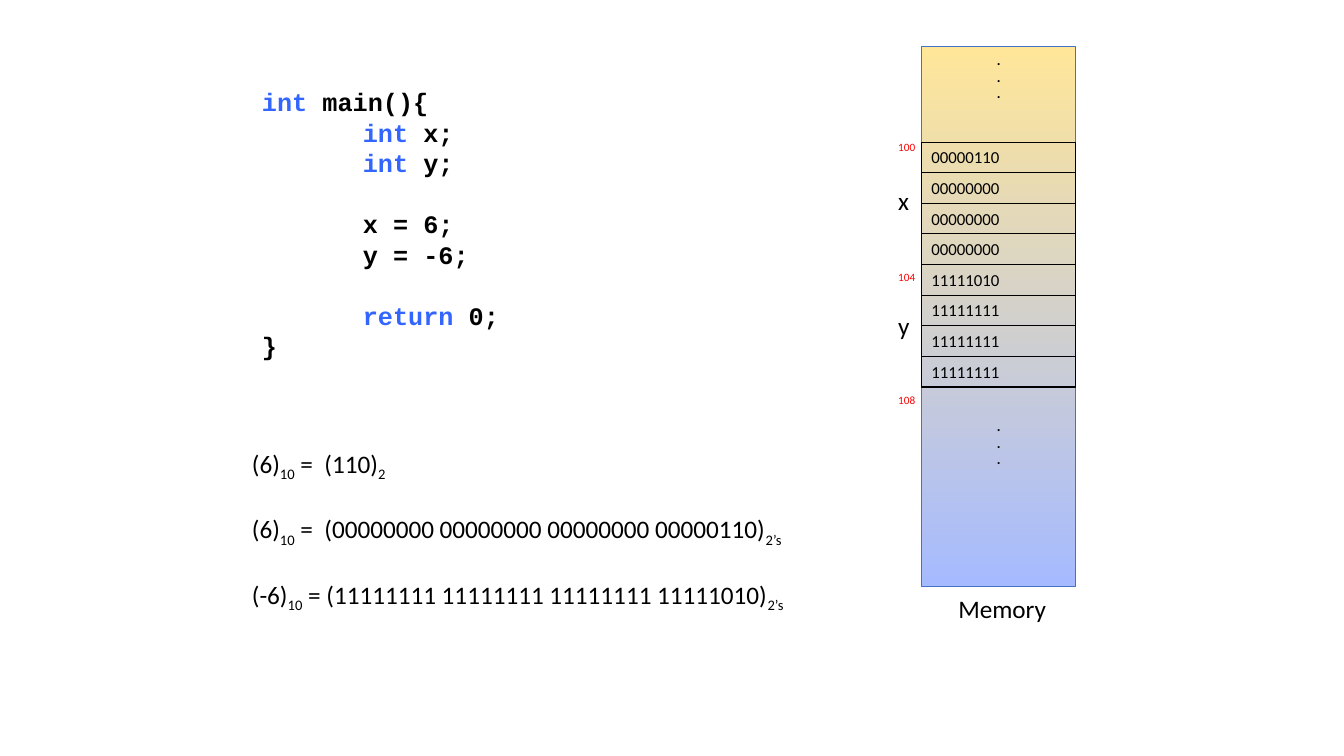
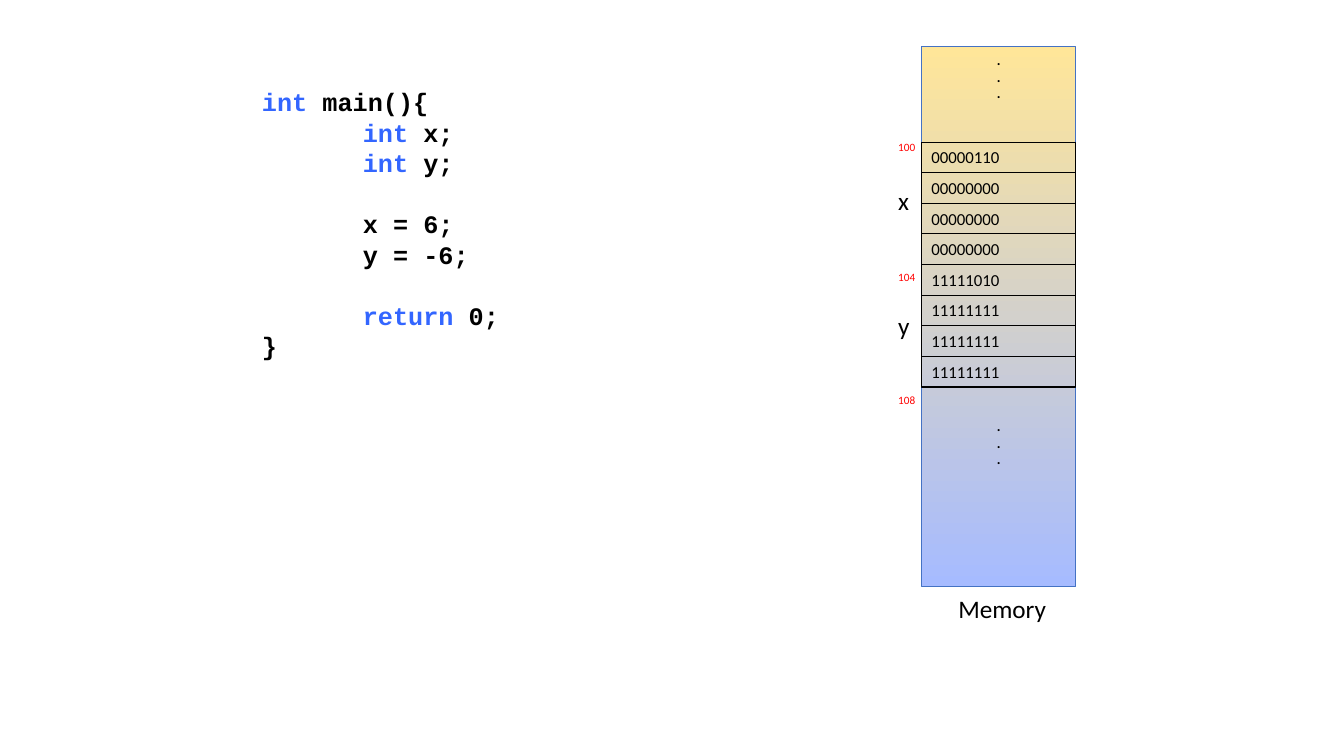
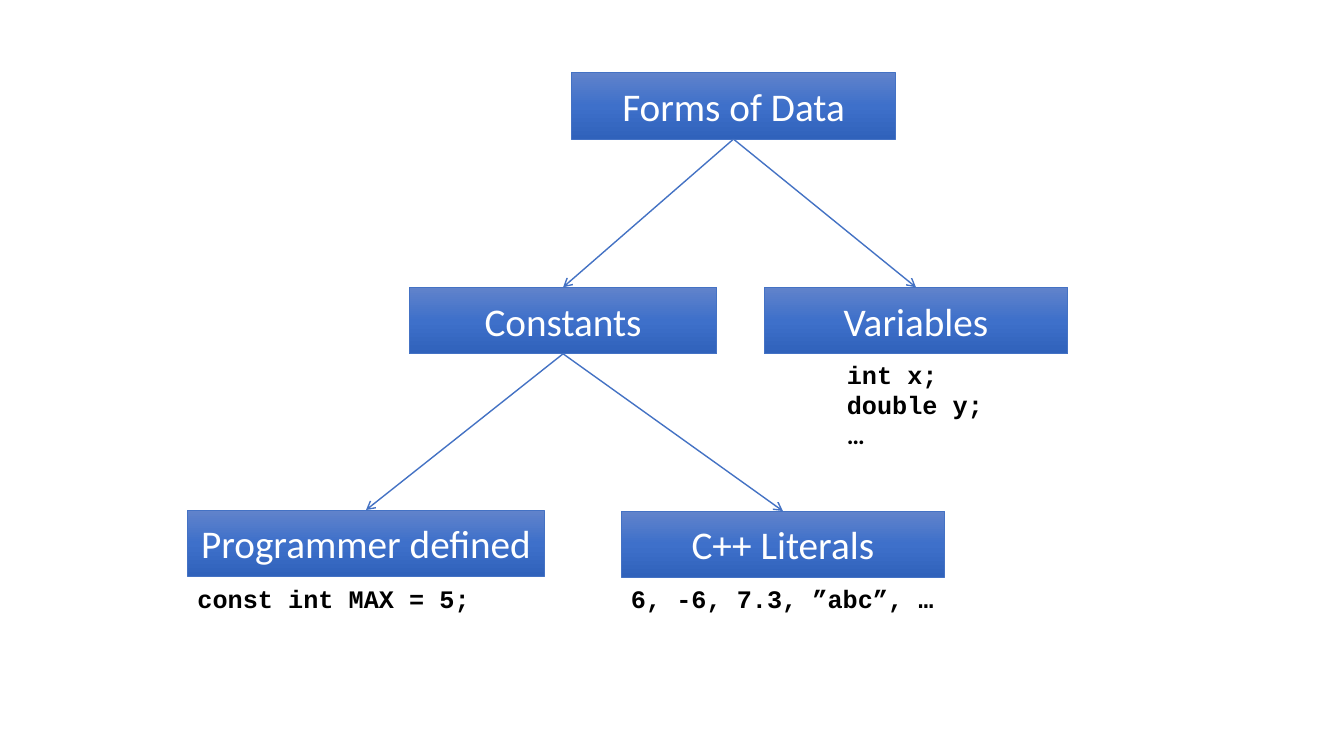
"""Build three slides on integer storage in memory and the forms of data in C++."""
import dataclasses

import lxml.etree
import pptx
import pptx.dml.color
import pptx.enum.shapes
import pptx.enum.text
import pptx.oxml.ns
import pptx.util

Inches = pptx.util.Inches
Pt = pptx.util.Pt
RGBColor = pptx.dml.color.RGBColor
ALIGN = pptx.enum.text.PP_ALIGN
ANCHOR = pptx.enum.text.MSO_ANCHOR
RECTANGLE = pptx.enum.shapes.MSO_SHAPE.RECTANGLE
qn = pptx.oxml.ns.qn

BLACK = RGBColor(0x00, 0x00, 0x00)
WHITE = RGBColor(0xFF, 0xFF, 0xFF)
RED = RGBColor(0xFF, 0x00, 0x00)
KEYWORD_BLUE = RGBColor(0x33, 0x66, 0xFF)
LINE_BLUE = RGBColor(0x44, 0x72, 0xC4)
MEMORY_GRADIENT = [RGBColor(0xFF, 0xE6, 0x99), RGBColor(0xA6, 0xBB, 0xFF)]
NODE_GRADIENT = [
    RGBColor(0x61, 0x83, 0xCB),
    RGBColor(0x3E, 0x70, 0xCA),
    RGBColor(0x30, 0x62, 0xBB),
]

BODY_FONT = "Calibri"
CODE_FONT = "Courier New"
BLANK_LINE = 22
CODE_FORMAT = {"font": CODE_FONT, "bold": True, "line_spacing": 21.7}
KEYWORD = {"color": KEYWORD_BLUE}
SUBSCRIPT = {"baseline": -25000}


@dataclasses.dataclass
class Paragraph:
    """Runs of text, each a string or a (string, format) pair, with spacing."""

    runs: list
    indent: float = 0
    before: float = 0


CODE = [
    Paragraph([("int ", KEYWORD), "main(){"]),
    Paragraph([("int ", KEYWORD), "x;"], indent=1),
    Paragraph([("int ", KEYWORD), "y;"], indent=1),
    Paragraph(["x = 6;"], indent=1, before=BLANK_LINE),
    Paragraph(["y = -6;"], indent=1),
    Paragraph([("return", KEYWORD), " 0;"], indent=1, before=BLANK_LINE),
    Paragraph(["}"]),
]
EQUATIONS = [
    ("(6)", " =  (110)", "2"),
    ("(6)", " =  (00000000 00000000 00000000 00000110)", "2’s"),
    ("(-6)", " = (11111111 11111111 11111111 11111010)", "2’s"),
]

MEMORY_LEFT, MEMORY_TOP, MEMORY_WIDTH, MEMORY_HEIGHT = 9.14, 0.46, 1.53, 5.36
BYTES_TOP, BYTES_HEIGHT = 1.41, 2.43
BYTES = ["00000110"] + ["00000000"] * 3 + ["11111010"] + ["11111111"] * 3
LABEL_LEFT = 8.81
ADDRESSES = [("100", 1.34), ("104", 2.63), ("108", 3.85)]
VARIABLES = [("x", 1.79), ("y", 3.03)]
DOTS_TOPS = [MEMORY_TOP, 4.09]

NODE_HEIGHT = 0.66
NODES = {
    "Forms of Data": (5.67, 0.72, 3.21),
    "Variables": (7.58, 2.85, 3.01),
    "Constants": (4.06, 2.85, 3.05),
    "C++ Literals": (6.16, 5.07, 3.21),
    "Programmer defined": (1.86, 5.06, 3.54),
}
BRANCHES = [
    ("Forms of Data", "Variables"),
    ("Forms of Data", "Constants"),
    ("Constants", "C++ Literals"),
    ("Constants", "Programmer defined"),
]
EXAMPLES = [
    ((6.16, 5.74, 3.6, 0.4), ["6, -6, 7.3, ”abc”, …"]),
    ((8.3, 3.51, 1.61, 1.01), ["int x;", "double y;", ("…", {"font": BODY_FONT})]),
    ((1.86, 5.74, 3.15, 0.4), ["const int MAX = 5;"]),
]


def write_text(shape, paragraphs, align=ALIGN.LEFT, anchor=ANCHOR.TOP,
               line_spacing=None, **run_format):
    """Fill a shape with formatted paragraphs."""
    frame = shape.text_frame
    frame.word_wrap = True
    frame.vertical_anchor = anchor
    for index, content in enumerate(paragraphs):
        if not isinstance(content, Paragraph):
            content = Paragraph([content])
        paragraph = frame.paragraphs[0] if index == 0 else frame.add_paragraph()
        paragraph.alignment = align
        if line_spacing:
            paragraph.line_spacing = Pt(line_spacing)
        if content.before:
            paragraph.space_before = Pt(content.before)
        if content.indent:
            paragraph._p.get_or_add_pPr().set("marL", str(Inches(content.indent)))
        for item in content.runs:
            text, changes = (item, {}) if isinstance(item, str) else item
            add_run(paragraph, text, **{**run_format, **changes})


def add_run(paragraph, text, font=BODY_FONT, size=18, color=BLACK, bold=False,
            baseline=None):
    """Append one formatted run to a paragraph."""
    run = paragraph.add_run()
    run.text = text
    run.font.name = font
    run.font.size = Pt(size)
    run.font.bold = bold
    run.font.color.rgb = color
    if baseline:
        run.font._element.set("baseline", str(baseline))


def add_text(slide, box, paragraphs, **text_format):
    """Add a text box at left, top, width, height in inches."""
    shape = slide.shapes.add_textbox(*map(Inches, box))
    write_text(shape, paragraphs, **text_format)


def add_rectangle(slide, box, line_color, line_width, gradient=None):
    """Add an outlined rectangle with an optional top-to-bottom gradient."""
    shape = slide.shapes.add_shape(RECTANGLE, *map(Inches, box))
    shape.shadow.inherit = False
    shape.line.color.rgb = line_color
    shape.line.width = Pt(line_width)
    if gradient is None:
        shape.fill.background()
        return shape
    shape.fill.gradient()
    shape.fill.gradient_angle = 270
    stops = shape._element.spPr.find(".//" + qn("a:gsLst"))
    for stop in list(stops):
        stops.remove(stop)
    for index, color in enumerate(gradient):
        position = 100000 * index // (len(gradient) - 1)
        stop = lxml.etree.SubElement(stops, qn("a:gs"), pos=str(position))
        lxml.etree.SubElement(stop, qn("a:srgbClr"), val=str(color))
    return shape


def add_arrow(slide, parent, child):
    """Join the bottom of one rectangle to the top of another."""
    arrow = slide.shapes.add_connector(
        pptx.enum.shapes.MSO_CONNECTOR.STRAIGHT, 0, 0, 0, 0)
    arrow.begin_connect(parent, 2)
    arrow.end_connect(child, 0)
    arrow.line.color.rgb = LINE_BLUE
    arrow.line.width = Pt(1)
    lxml.etree.SubElement(arrow.line._get_or_add_ln(), qn("a:tailEnd"), type="arrow")
    lxml.etree.SubElement(arrow._element.spPr, qn("a:effectLst"))


def draw_memory(slide):
    """Draw the code listing beside the memory column."""
    column = (MEMORY_LEFT, MEMORY_TOP, MEMORY_WIDTH, MEMORY_HEIGHT)
    add_rectangle(slide, column, LINE_BLUE, 0.5, MEMORY_GRADIENT)
    byte_height = BYTES_HEIGHT / len(BYTES)
    for index, bits in enumerate(BYTES):
        top = BYTES_TOP + index * byte_height
        cell = add_rectangle(
            slide, (MEMORY_LEFT, top, MEMORY_WIDTH, byte_height), BLACK, 0.75)
        write_text(cell, [bits], align=ALIGN.JUSTIFY, size=12)
    for top in DOTS_TOPS:
        add_text(slide, (MEMORY_LEFT, top, MEMORY_WIDTH, 0.61), ["."] * 3,
                 align=ALIGN.CENTER, size=10, bold=True)
    for address, top in ADDRESSES:
        add_text(slide, (LABEL_LEFT, top, 0.44, 0.24), [address], size=8, color=RED)
    for variable, top in VARIABLES:
        add_text(slide, (LABEL_LEFT, top, 0.33, 0.4), [variable])
    add_text(slide, (9.28, 5.84, 1.32, 0.4), ["Memory"], align=ALIGN.CENTER)
    add_text(slide, (2.5, 0.81, 4.03, 2.83), CODE, **CODE_FORMAT)


def draw_equations(slide):
    """Write the conversions from decimal to binary."""
    paragraphs = [
        Paragraph([decimal, ("10", SUBSCRIPT), binary, (base, SUBSCRIPT)],
                  before=BLANK_LINE if index else 0)
        for index, (decimal, binary, base) in enumerate(EQUATIONS)
    ]
    add_text(slide, (2.4, 4.4, 6.12, 1.82), paragraphs)


def draw_data_forms(slide):
    """Draw the tree of data forms with code examples."""
    nodes = {}
    for name, (left, top, width) in NODES.items():
        nodes[name] = add_rectangle(
            slide, (left, top, width, NODE_HEIGHT), LINE_BLUE, 0.5, NODE_GRADIENT)
        write_text(nodes[name], [name], align=ALIGN.CENTER, anchor=ANCHOR.MIDDLE,
                   size=28, color=WHITE)
    for parent, child in BRANCHES:
        add_arrow(slide, nodes[parent], nodes[child])
    for box, lines in EXAMPLES:
        add_text(slide, box, lines, **CODE_FORMAT)


def main():
    """Create and save the presentation."""
    presentation = pptx.Presentation()
    presentation.slide_width = Inches(13.33)
    presentation.slide_height = Inches(7.5)
    blank = presentation.slide_layouts[6]
    for parts in [(draw_memory, draw_equations), (draw_memory,), (draw_data_forms,)]:
        slide = presentation.slides.add_slide(blank)
        for draw in parts:
            draw(slide)
    presentation.save("out.pptx")


if __name__ == "__main__":
    main()
